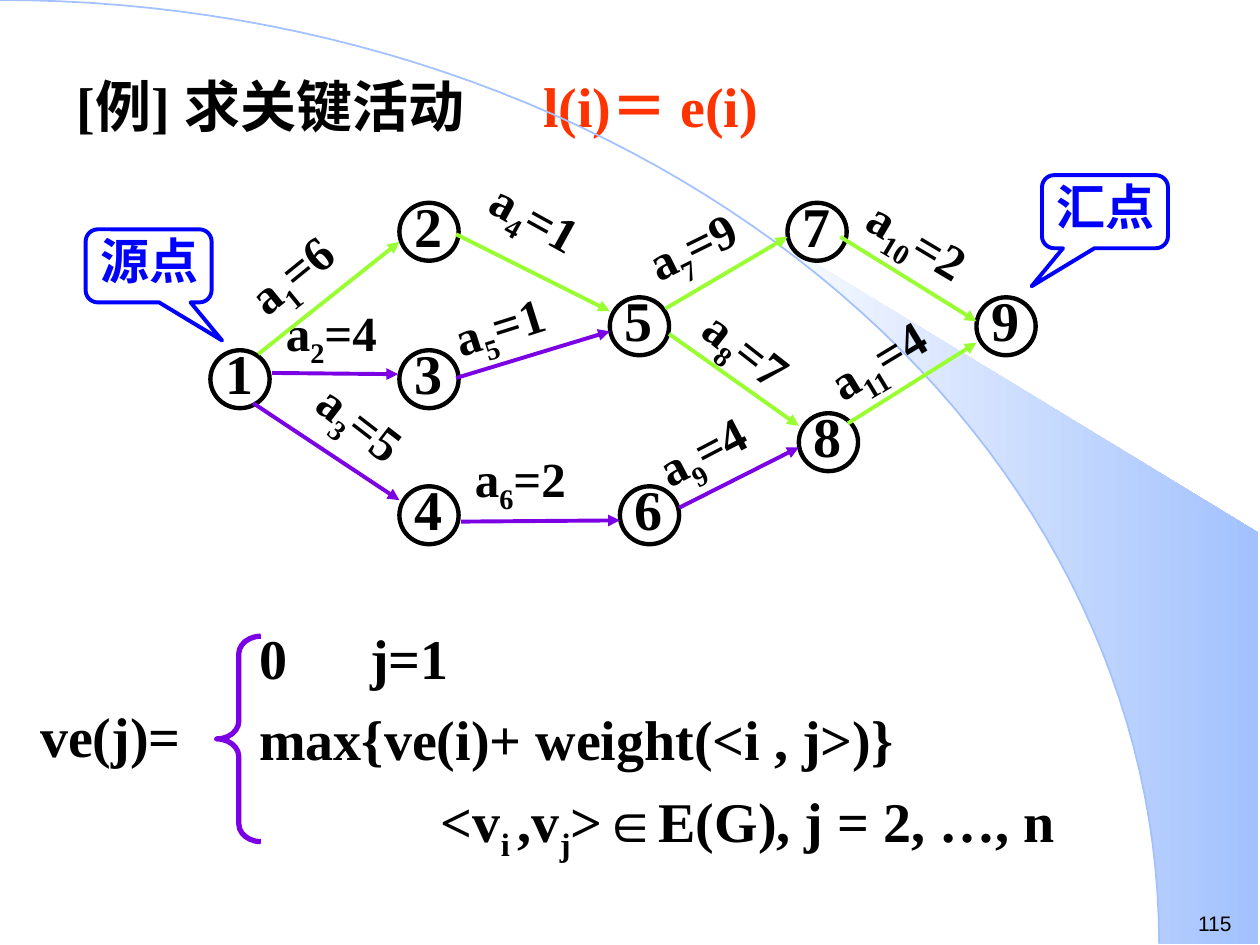
import math
from dataclasses import dataclass

import pptx
import pptx.dml.color
import pptx.enum.shapes
import pptx.enum.text
import pptx.oxml.ns
import pptx.util
from lxml import etree

EMU_PER_PX = 9144
SERIF = "Times New Roman"
BLACK, BLUE, RED = "000000", "0000FF", "FF3300"
GREEN, PURPLE, SKY = "99FF33", "7B00E4", "A2C1FE"
ARC_WIDTH, ARC_HEIGHT = 920, 749
SHAPES = pptx.enum.shapes.MSO_SHAPE
ALIGN = pptx.enum.text.PP_ALIGN


@dataclass(frozen=True)
class Node:
    name: str
    left: int
    top: int


@dataclass(frozen=True)
class Edge:
    start: tuple[int, int]
    end: tuple[int, int]
    critical: bool


@dataclass(frozen=True)
class Label:
    index: str
    weight: str
    left: int
    top: int
    angle: float = 0
    width: int = 142


@dataclass(frozen=True)
class Callout:
    text: str
    left: int
    top: int
    tail: float


NODES = [
    Node("4", 317, 386), Node("3", 317, 278), Node("6", 492, 386),
    Node("2", 317, 161), Node("5", 484, 236), Node("1", 167, 278),
    Node("9", 775, 236), Node("7", 625, 161), Node("8", 634, 328),
]
EDGES = [
    Edge((216, 296), (316, 297), False), Edge((205, 281), (317, 192), True),
    Edge((201, 320), (317, 397), False), Edge((362, 300), (484, 263), False),
    Edge((362, 186), (484, 247), True), Edge((366, 414), (492, 413), False),
    Edge((539, 403), (634, 355), False), Edge((528, 245), (625, 188), True),
    Edge((531, 265), (634, 338), True), Edge((673, 336), (775, 272), True),
    Edge((667, 188), (775, 255), True),
]
LABELS = [
    Label("1", "6", 184, 180, -39.1, 117), Label("8", "7", 540, 263, 38),
    Label("7", "9", 502, 155, -26.2), Label("6", "2", 367, 351),
    Label("4", "1", 375, 155, 28.9), Label("5", "1", 350, 222, -17.6),
    Label("3", "5", 234, 321, 37.7), Label("2", "4", 217, 235),
    Label("9", "4", 510, 317, -27.6), Label("11", "4", 644, 246, -31.2),
    Label("10", "2", 673, 171, 30.9),
]
CALLOUTS = [Callout("汇点", 827, 139, -0.583), Callout("源点", 68, 182, 0.583)]


def px(length: float) -> int:
    return round(length * EMU_PER_PX)


def rgb(color: str) -> pptx.dml.color.RGBColor:
    return pptx.dml.color.RGBColor.from_string(color)


def add_child(parent, tag: str, **attributes: str):
    return etree.SubElement(parent, pptx.oxml.ns.qn(tag), attributes)


def write_span(para, text: str, *, size: int = 32, color: str = BLACK,
               font: str = SERIF, bold: bool = True, lowered: bool = False) -> None:
    span = para.add_run()
    span.text = text
    span.font.size = pptx.util.Pt(size)
    span.font.name = font
    span.font.bold = bold
    span.font.color.rgb = rgb(color)
    if lowered:
        span.font._element.set("baseline", "-25000")


def write_indexed(para, parts: list[str], *, size: int = 32) -> None:
    for position, part in enumerate(parts):
        write_span(para, part, size=size, lowered=position % 2 == 1)


def set_tab(para, position: int) -> None:
    stops = add_child(para._p.get_or_add_pPr(), "a:tabLst")
    add_child(stops, "a:tab", pos=str(px(position)), algn="l")


def add_text_box(page, left: int, top: int, width: int, height: int):
    box = page.shapes.add_textbox(px(left), px(top), px(width), px(height))
    box.text_frame.word_wrap = True
    return box


def add_outline(page, kind, left: int, top: int, width: int, height: int,
                color: str, weight: float):
    shape = page.shapes.add_shape(kind, px(left), px(top), px(width), px(height))
    shape.shadow.inherit = False
    shape.fill.background()
    shape.line.color.rgb = rgb(color)
    shape.line.width = pptx.util.Pt(weight)
    return shape


def arc_points(start_angle: float) -> list[tuple[float, float]]:
    steps = 60
    angles = [start_angle + (math.pi / 2 - start_angle) * step / steps
              for step in range(steps + 1)]
    return [(ARC_WIDTH * math.sin(angle), ARC_HEIGHT * (1 - math.cos(angle)))
            for angle in angles]


def add_path(page, points: list[tuple[float, float]], closed: bool):
    first, *rest = [(px(x), px(y)) for x, y in points]
    builder = page.shapes.build_freeform(*first)
    builder.add_line_segments(rest, close=closed)
    shape = builder.convert_to_shape()
    shape.shadow.inherit = False
    return shape


def draw_background(page) -> None:
    swoosh_start = math.asin(589 / ARC_WIDTH)
    swoosh = add_path(page, arc_points(swoosh_start) + [(999, 749), (999, 423)], True)
    swoosh.line.fill.background()
    swoosh.fill.gradient()
    swoosh.fill.gradient_angle = 0
    for stop, color, position in zip(swoosh.fill.gradient_stops, ("FFFFFF", SKY), (0, 1)):
        stop.color.rgb = rgb(color)
        stop.position = position
    arc = add_path(page, arc_points(0), False)
    arc.fill.background()
    arc.line.color.rgb = rgb(SKY)
    arc.line.width = pptx.util.Pt(1)


def draw_title(page) -> None:
    title = page.shapes.title
    title.left, title.top, title.width, title.height = map(px, (27, 52, 921, 74))
    frame = title.text_frame
    frame.auto_size = pptx.enum.text.MSO_AUTO_SIZE.NONE
    frame.vertical_anchor = pptx.enum.text.MSO_ANCHOR.TOP
    frame.margin_left = px(34)
    para = frame.paragraphs[0]
    para.alignment = ALIGN.LEFT
    set_tab(para, 370)
    write_span(para, "[例] 求关键活动\t")
    write_span(para, "l(i)＝ e(i)", color=RED)


def draw_node(page, node: Node) -> None:
    add_outline(page, SHAPES.OVAL, node.left, node.top, 47, 46, BLACK, 2.5)
    box = add_text_box(page, node.left + 2, node.top - 14, 34, 64)
    para = box.text_frame.paragraphs[0]
    para.alignment = ALIGN.CENTER
    write_span(para, node.name)


def draw_edge(page, edge: Edge) -> None:
    arrow = page.shapes.add_connector(
        pptx.enum.shapes.MSO_CONNECTOR.STRAIGHT,
        *map(px, edge.start + edge.end))
    arrow.line.color.rgb = rgb(GREEN if edge.critical else PURPLE)
    arrow.line.width = pptx.util.Pt(2.25)
    add_child(arrow.line._get_or_add_ln(), "a:tailEnd", type="triangle")
    add_child(arrow._element.spPr, "a:effectLst")


def draw_label(page, label: Label) -> None:
    box = add_text_box(page, label.left, label.top, label.width, 63)
    box.rotation = label.angle
    write_indexed(box.text_frame.paragraphs[0],
                  ["a", label.index, f"={label.weight}"], size=28)


def draw_callout(page, callout: Callout) -> None:
    box = add_text_box(page, callout.left - 8, callout.top - 4, 117, 57)
    para = box.text_frame.paragraphs[0]
    para.alignment = ALIGN.CENTER
    write_span(para, callout.text, size=28, color=BLUE)
    bubble = add_outline(page, SHAPES.ROUNDED_RECTANGULAR_CALLOUT,
                         callout.left, callout.top, 100, 58, BLUE, 2.25)
    bubble.adjustments[0] = callout.tail
    bubble.adjustments[1] = 1.021


def draw_formula(page) -> None:
    brace = add_outline(page, SHAPES.LEFT_BRACE, 172, 505, 35, 163, PURPLE, 3)
    brace.adjustments[0] = 0.4
    left_side = add_text_box(page, 22, 552, 154, 64)
    write_span(left_side.text_frame.paragraphs[0], "ve(j)=")
    frame = add_text_box(page, 196, 485, 761, 205).text_frame
    base, maximum, condition = (
        frame.paragraphs[0], frame.add_paragraph(), frame.add_paragraph())
    for para in (base, maximum, condition):
        para.line_spacing = 1.1
    for para in (maximum, condition):
        para.space_before = pptx.util.Pt(4)
    set_tab(base, 88)
    write_span(base, "0\tj=1")
    write_span(maximum, "max{ve(i)+ weight(<i , j>)}")
    condition._p.get_or_add_pPr().set("marL", str(px(144)))
    write_indexed(condition, ["<v", "i ", ",v", "j", ">∈E(G), j = 2, …, n"])


def main() -> None:
    deck = pptx.Presentation()
    deck.slide_width, deck.slide_height = px(1000), px(750)
    page = deck.slides.add_slide(deck.slide_layouts[5])
    draw_background(page)
    number = add_text_box(page, 941, 718, 59, 30)
    write_span(number.text_frame.paragraphs[0], "115", size=12, font="Arial", bold=False)
    draw_title(page)
    for draw, items in ((draw_node, NODES), (draw_label, LABELS),
                        (draw_edge, EDGES), (draw_callout, CALLOUTS)):
        for item in items:
            draw(page, item)
    draw_formula(page)
    deck.save("out.pptx")


if __name__ == "__main__":
    main()
